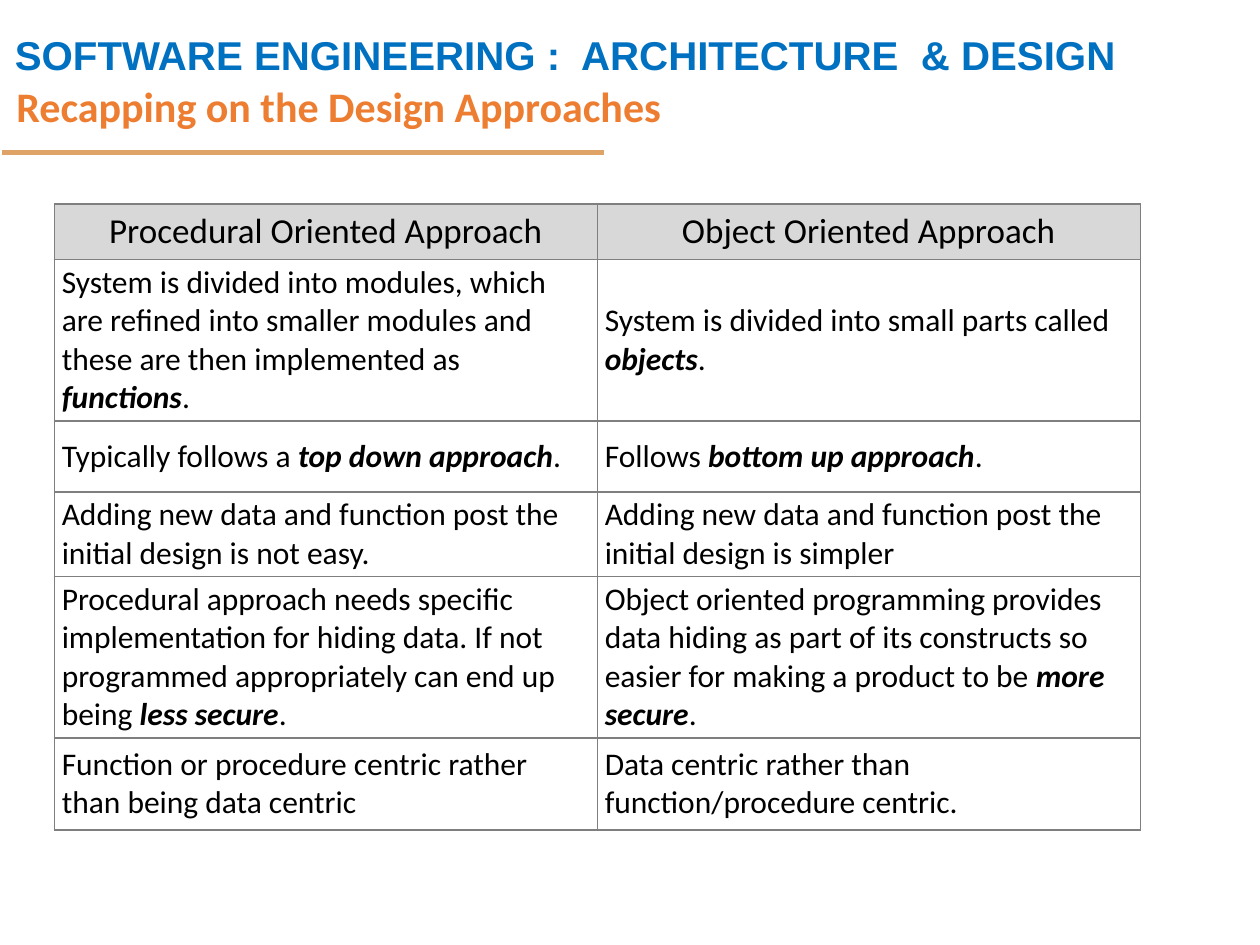
"""Build a slide comparing the procedural and object oriented design approaches."""
from dataclasses import dataclass
from typing import Any

from lxml import etree
from pptx import Presentation
from pptx.dml import color
from pptx.enum import shapes, text
from pptx.oxml import ns
from pptx.util import Pt


@dataclass(frozen=True)
class Theme:
    blue: str = "0070C0"
    orange: str = "ED7D31"
    rule: str = "DFA267"
    border: str = "7F7F7F"
    header_fill: str = "D8D8D8"
    ink: str = "000000"
    heading_font: str = "Arial"
    body_font: str = "Calibri"
    heading_size: float = 23
    title_size: float = 24
    header_size: float = 20
    body_size: float = 18
    rule_width: float = 3
    border_width: float = 1


@dataclass(frozen=True)
class Area:
    left: float
    top: float
    width: float
    height: float

    def lengths(self) -> tuple:
        return Pt(self.left), Pt(self.top), Pt(self.width), Pt(self.height)


@dataclass(frozen=True)
class Style:
    font: str
    size: float
    ink: str
    bold: bool = False
    align: Any = text.PP_ALIGN.LEFT
    spacing: float = 1.0


@dataclass(frozen=True)
class Row:
    height: float
    procedural: str
    object_oriented: str


THEME = Theme()
HEADING = Style(THEME.heading_font, THEME.heading_size, THEME.blue, True, spacing=1.5)
TITLE = Style(THEME.body_font, THEME.title_size, THEME.orange, True, spacing=0.9)
HEADER = Style(THEME.body_font, THEME.header_size, THEME.ink, align=text.PP_ALIGN.CENTER)
BODY = Style(THEME.body_font, THEME.body_size, THEME.ink)

HEADING_AREA = Area(1.4, 0, 683, 45.4)
TITLE_AREA = Area(2.2, 43.2, 618, 38.2)
RULE_AREA = Area(1.4, 87.1, 343.5, 0)
TABLE_AREA = Area(31, 116.6, 620.6, 270.5)

ROWS = [
    Row(31, "Procedural Oriented Approach", "Object Oriented Approach"),
    Row(52.5,
        "System is divided into modules, which are refined into smaller modules "
        "and these are then implemented as *functions*.",
        "System is divided into small parts called *objects*."),
    Row(40.5, "Typically follows a *top down approach*.", "Follows *bottom up approach*."),
    Row(29,
        "Adding new data and function post the initial design is not easy.",
        "Adding new data and function post the initial design is simpler"),
    Row(65,
        "Procedural approach needs specific implementation for hiding data. "
        "If not programmed appropriately can end up being *less secure*.",
        "Object oriented programming provides data hiding as part of its constructs "
        "so easier for making a product to be *more secure*."),
    Row(52.5,
        "Function or procedure centric rather than being data centric",
        "Data centric rather than function/procedure centric."),
]


def apply(target: Any, values: dict[str, Any]) -> None:
    """Set each named attribute on the target."""
    for name, value in values.items():
        setattr(target, name, value)


def write(frame: Any, words: str, style: Style) -> None:
    """Write one paragraph, with words between asterisks in bold italic."""
    para = frame.paragraphs[0]
    apply(para, {"alignment": style.align, "line_spacing": style.spacing})
    for index, part in enumerate(words.split("*")):
        emphasis = index % 2 == 1
        span = para.add_run()
        span.text = part
        apply(span.font, {"name": style.font, "size": Pt(style.size),
                          "bold": style.bold or emphasis, "italic": emphasis})
        span.font.color.rgb = color.RGBColor.from_string(style.ink)


def fill_box(box: Any, area: Area, words: str, style: Style, anchor: Any) -> None:
    """Place a text shape and write its words."""
    apply(box, dict(zip(("left", "top", "width", "height"), area.lengths())))
    apply(box.text_frame, {
        "word_wrap": True, "auto_size": text.MSO_AUTO_SIZE.NONE, "vertical_anchor": anchor,
        "margin_left": Pt(7.2), "margin_right": Pt(7.2),
        "margin_top": Pt(3.6), "margin_bottom": Pt(3.6)})
    write(box.text_frame, words, style)


def draw_rule(page: Any, area: Area) -> None:
    """Draw the horizontal line under the title."""
    left, top, width, height = area.lengths()
    rule = page.shapes.add_connector(
        shapes.MSO_CONNECTOR.STRAIGHT, left, top, left + width, top + height)
    rule.line.width = Pt(THEME.rule_width)
    rule.line.color.rgb = color.RGBColor.from_string(THEME.rule)
    etree.SubElement(rule.element.spPr, ns.qn("a:effectLst"))


def add_borders(cell: Any) -> None:
    """Give a cell a thin line on all four sides."""
    properties = cell._tc.get_or_add_tcPr()
    for index, side in enumerate(("lnL", "lnR", "lnT", "lnB")):
        line = etree.Element(ns.qn(f"a:{side}"), w=str(Pt(THEME.border_width)))
        fill = etree.SubElement(line, ns.qn("a:solidFill"))
        etree.SubElement(fill, ns.qn("a:srgbClr"), val=THEME.border)
        properties.insert(index, line)


def fill_cell(cell: Any, words: str, is_header: bool) -> None:
    """Format one table cell and write its words."""
    side, edge = (3.6, 3.6) if is_header else (4.3, 2.2)
    apply(cell, {"vertical_anchor": text.MSO_ANCHOR.MIDDLE,
                 "margin_left": Pt(side), "margin_right": Pt(side),
                 "margin_top": Pt(edge), "margin_bottom": Pt(edge)})
    if is_header:
        cell.fill.solid()
        cell.fill.fore_color.rgb = color.RGBColor.from_string(THEME.header_fill)
    else:
        cell.fill.background()
    add_borders(cell)
    write(cell.text_frame, words, HEADER if is_header else BODY)


def draw_table(page: Any, area: Area, rows: list[Row]) -> None:
    """Draw the comparison table."""
    table = page.shapes.add_table(len(rows), 2, *area.lengths()).table
    table.horz_banding = False
    for index, row in enumerate(rows):
        table.rows[index].height = Pt(row.height)
        for column, words in enumerate((row.procedural, row.object_oriented)):
            fill_cell(table.cell(index, column), words, index == 0)


def main() -> None:
    """Build and save the deck."""
    deck = Presentation()
    apply(deck, {"slide_width": Pt(720), "slide_height": Pt(540)})
    page = deck.slides.add_slide(deck.slide_layouts.get_by_name("Title Only"))
    heading = page.shapes.add_textbox(*HEADING_AREA.lengths())
    fill_box(heading, HEADING_AREA, "SOFTWARE ENGINEERING :  ARCHITECTURE  & DESIGN",
             HEADING, text.MSO_ANCHOR.TOP)
    fill_box(page.shapes.title, TITLE_AREA, "Recapping on the Design Approaches",
             TITLE, text.MSO_ANCHOR.MIDDLE)
    draw_rule(page, RULE_AREA)
    draw_table(page, TABLE_AREA, ROWS)
    deck.save("out.pptx")


if __name__ == "__main__":
    main()
